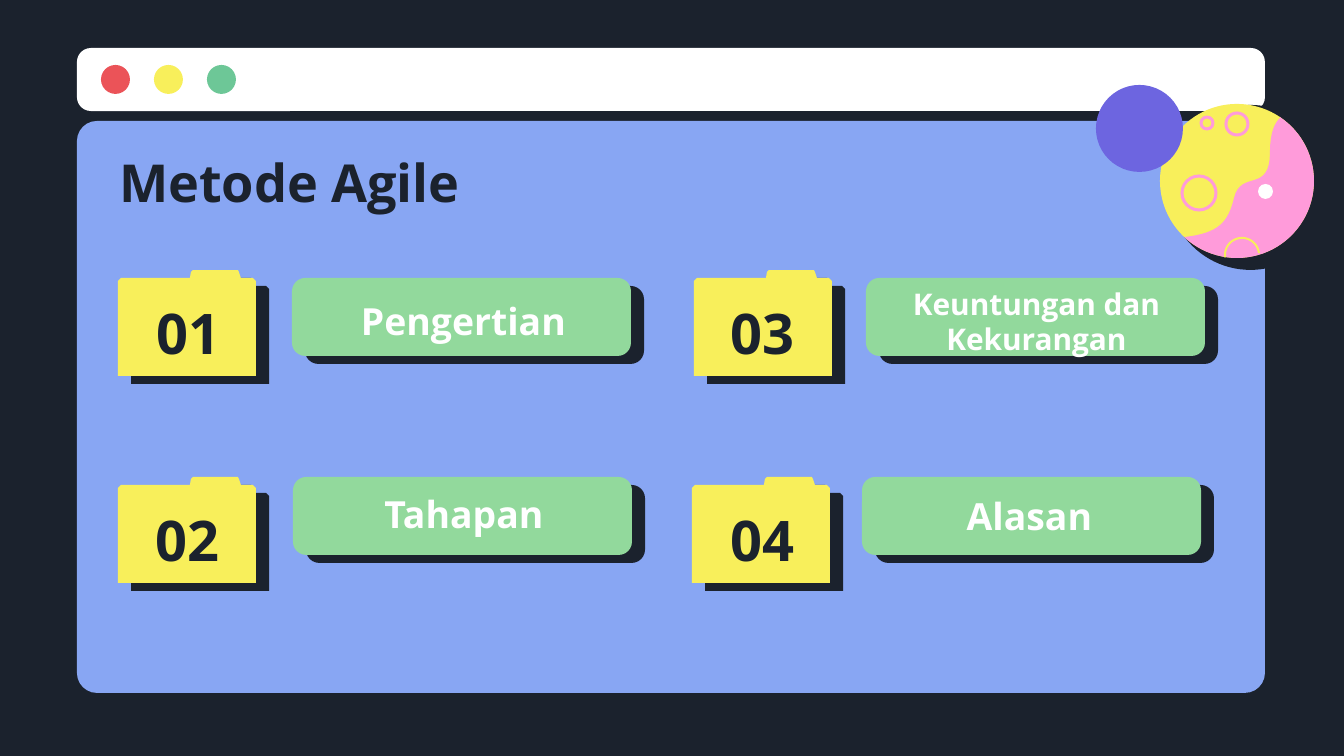
from math import atan2, cos, radians, sin, degrees

from lxml.etree import SubElement
from pptx import Presentation
from pptx.dml.color import RGBColor
from pptx.enum.shapes import MSO_SHAPE as Shape
from pptx.enum.text import MSO_ANCHOR as Anchor, MSO_AUTO_SIZE as AutoSize, PP_ALIGN as Align
from pptx.oxml.ns import qn
from pptx.util import Pt

SCALE = 9144000 / 1344
FONT = "Open Sans"
COLORS = {
    "ink": "1B222D", "white": "FFFFFF", "red": "EB5358", "yellow": "F8EF5B",
    "green": "6DC797", "blue": "88A6F3", "pink": "FF9BDA", "purple": "6D65E0",
    "mint": "92D99C",
}
CARDS = [
    ("01", (118, 270), (130, 289), (292, 278), "Pengertian", 20, (4, 8, 335, 70)),
    ("02", (118, 477), (129, 496), (293, 477), "Tahapan", 20, (3, 1, 336, 71)),
    ("03", (694, 270), (704, 289), (866, 278), "Keuntungan dan Kekurangan", 16, (-2, -5, 345, 97)),
    ("04", (692, 477), (704, 496), (862, 477), "Alasan", 20, (1, 0, 333, 74)),
]


def px(length):
    """Turn px into EMU."""
    return round(length * SCALE)


def color(name):
    """Look up a named colour."""
    return RGBColor.from_string(COLORS[name])


def paint(shape, fill=None, line=None, width=3):
    """Set fill and outline of a shape and drop its shadow."""
    shape.shadow.inherit = False
    if fill:
        shape.fill.solid()
        shape.fill.fore_color.rgb = color(fill)
    else:
        shape.fill.background()
    if line:
        shape.line.color.rgb = color(line)
        shape.line.width = px(width)
    else:
        shape.line.fill.background()
    return shape


def add_shape(page, kind, box, fill=None, line=None, corner=None):
    """Add a painted preset shape."""
    shape = page.shapes.add_shape(kind, *map(px, box))
    if corner is not None:
        shape.adjustments[0] = corner
    return paint(shape, fill, line)


def add_outline(page, points, left, top, fill=None, line=None, width=3, close=True):
    """Add a freeform whose points are relative to a corner."""
    start, *rest = [(px(left + x), px(top + y)) for x, y in points]
    builder = page.shapes.build_freeform(*start, scale=1.0)
    builder.add_line_segments(rest, close=close)
    return paint(builder.convert_to_shape(), fill, line, width)


def arc(center_x, center_y, radius, first, last, steps=48):
    """Return points along a circle between two angles in degrees."""
    angles = [radians(first + (last - first) * i / steps) for i in range(steps + 1)]
    return [(center_x + radius * cos(a), center_y + radius * sin(a)) for a in angles]


def bezier(start, first, second, end, steps=16):
    """Return points along a cubic curve."""
    points = []
    for i in range(steps + 1):
        t = i / steps
        weights = ((1 - t) ** 3, 3 * t * (1 - t) ** 2, 3 * t * t * (1 - t), t ** 3)
        points.append(tuple(
            sum(w * p[axis] for w, p in zip(weights, (start, first, second, end)))
            for axis in (0, 1)))
    return points


def write(shape, text, size, ink, align=Align.CENTER, anchor=Anchor.MIDDLE):
    """Put one bold line of text in a text shape."""
    frame = shape.text_frame
    frame.text = text
    frame.word_wrap = True
    frame.auto_size = AutoSize.NONE
    frame.vertical_anchor = anchor
    frame.margin_left = frame.margin_right = px(13)
    frame.margin_top = frame.margin_bottom = px(13)
    para = frame.paragraphs[0]
    para.alignment = align
    font = para.runs[0].font
    font.name, font.size, font.bold = FONT, Pt(size), True
    font.color.rgb = color(ink)


def add_window(page, left, top, width):
    """Draw the browser window with its bar, buttons and panel."""
    add_shape(page, Shape.ROUNDED_RECTANGLE, (left, top, width, 63), "white", corner=0.22)
    for index, fill in enumerate(("red", "yellow", "green")):
        add_shape(page, Shape.OVAL, (left + 24 + 53 * index, top + 17, 29, 29), fill)
    add_shape(page, Shape.ROUNDED_RECTANGLE, (left, top + 73, width, 572), "blue", corner=0.035)


def add_planet(page, left, top, size):
    """Draw the planet with its shadow, craters, land and moon."""
    radius = size / 2
    add_shape(page, Shape.OVAL, (left + 8, top + 1, 165, 165), "ink")
    add_shape(page, Shape.OVAL, (left, top, size, size), "yellow")
    for x, y, ring in ((39, 89, 17), (77, 20, 11), (47, 19, 6)):
        add_shape(page, Shape.OVAL, (left + x - ring, top + y - ring, 2 * ring, 2 * ring), line="pink")
    coast = (
        bezier((25, 133), (58, 129), (68, 119), (74, 94))
        + bezier((74, 94), (81, 65), (110, 90), (110, 48))
        + bezier((110, 48), (110, 28), (115, 18), (121, 13))
    )
    first, last = [degrees(atan2(y - radius, x - radius)) for x, y in (coast[-1], coast[0])]
    land = coast + arc(radius, radius, radius, first, last)
    add_outline(page, land, left, top, "pink")
    add_outline(page, arc(82, 151, 17, 172, 354), left, top, line="yellow", width=2, close=False)
    add_shape(page, Shape.OVAL, (left + 98, top + 80, 15, 15), "white")
    add_shape(page, Shape.OVAL, (left - 64, top - 19, 87, 87), "purple")


def add_folder(page, left, top, width, height):
    """Draw a folder with a hard shadow."""
    points = [
        (width, 11), (width, height), (0, height), (0, 11), (3, 8), (72, 8), (73, 2),
        (75, 0), (120, 0), (121, 2), (123, 8), (width - 3, 8),
    ]
    folder = add_outline(page, points, left, top, "yellow")
    effects = folder.element.spPr.find(qn("a:effectLst"))
    shadow = SubElement(effects, qn("a:outerShdw"), blurRad="0", dist=str(Pt(8.2)),
                        dir=str(31 * 60000), algn="bl", rotWithShape="0")
    SubElement(shadow, qn("a:srgbClr"), val=COLORS["ink"])


def add_card(page, number, folder, digits, label, text, size, inner):
    """Draw a numbered folder and its label."""
    left, top = label
    for offset_x, offset_y, fill in ((13, 8, "ink"), (0, 0, "mint")):
        add_shape(page, Shape.ROUNDED_RECTANGLE,
                  (left + offset_x, top + offset_y, 339, 78), fill, corner=0.17)
    add_folder(page, *folder, 138, 106)
    x, y, width, height = inner
    caption = page.shapes.add_textbox(*map(px, (left + x, top + y, width, height)))
    write(caption, text, size, "white", anchor=Anchor.BOTTOM)
    write(page.shapes.add_textbox(*map(px, (*digits, 117, 87))), number, 30, "ink")


def add_title(page, text, box):
    """Move and format the title placeholder."""
    title = page.shapes.title
    title.left, title.top, title.width, title.height = map(px, box)
    write(title, text, 28, "ink", Align.LEFT, Anchor.TOP)


def main():
    """Build the deck."""
    deck = Presentation()
    deck.slide_width, deck.slide_height = px(1344), px(756)
    page = deck.slides.add_slide(deck.slide_layouts[5])
    page.background.fill.solid()
    page.background.fill.fore_color.rgb = color("ink")
    add_window(page, 77, 48, 1188)
    add_planet(page, 1160, 104, 154)
    for card in CARDS:
        add_card(page, *card)
    add_title(page, "Metode Agile", (106, 137, 1133, 83))
    page.shapes._spTree.append(page.shapes.title.element)
    deck.save("out.pptx")


if __name__ == "__main__":
    main()
